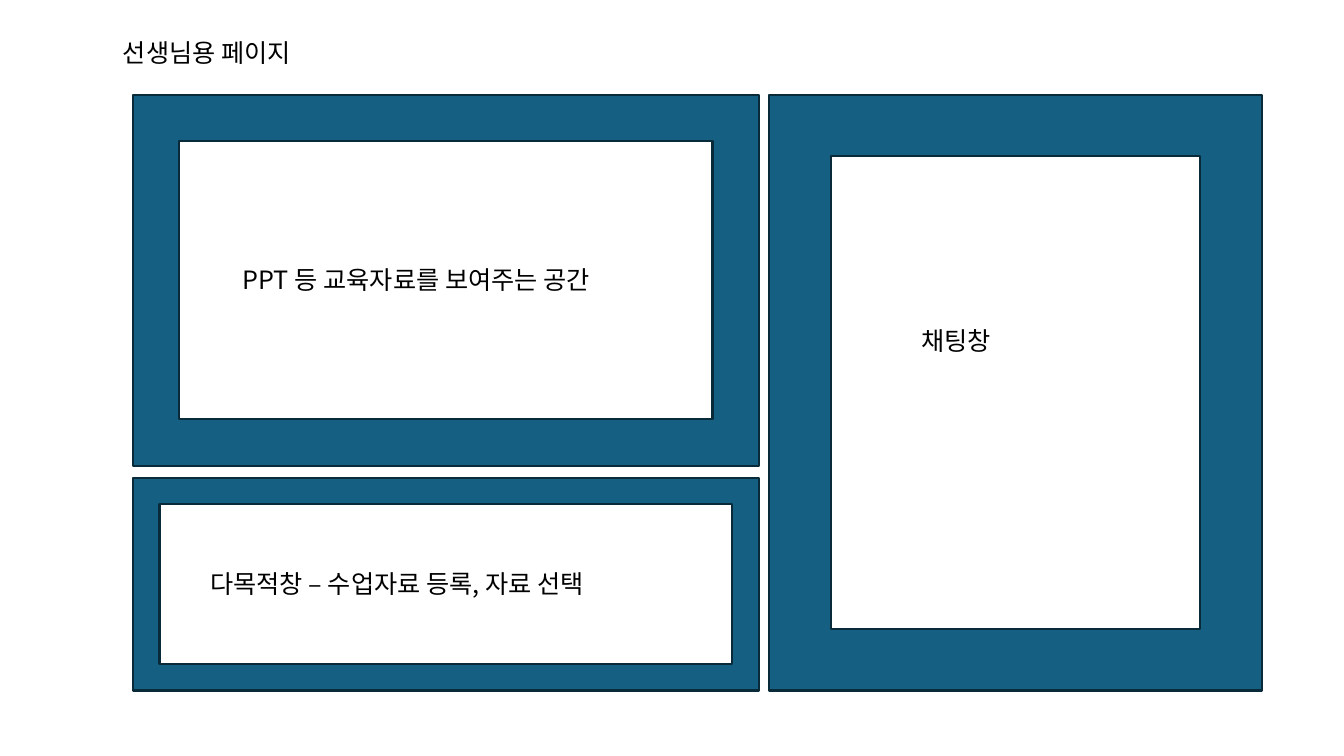
from pptx import Presentation
from pptx.dml.color import RGBColor
from pptx.enum.shapes import MSO_SHAPE
from pptx.enum.text import MSO_ANCHOR, MSO_AUTO_SIZE, PP_ALIGN
from pptx.oxml.ns import qn
from pptx.util import Pt
from lxml import etree

FRAME = MSO_SHAPE.FRAME
TOP = MSO_ANCHOR.TOP
GROW = MSO_AUTO_SIZE.SHAPE_TO_FIT_TEXT
LEFT = PP_ALIGN.LEFT

FONT = "Noto Sans CJK KR"
LABEL_HEIGHT = 29
TITLE_ONLY = 5


def color(hex_code):
    return RGBColor.from_string(hex_code)


def write_label(text_frame, wording):
    text_frame.text = wording
    text_frame.word_wrap = True
    text_frame.auto_size = GROW
    text_frame.vertical_anchor = TOP
    paragraph = text_frame.paragraphs[0]
    paragraph.alignment = LEFT
    for run in paragraph.runs:
        run.font.size = Pt(18)
        run.font.name = FONT
        run.font.color.rgb = color("000000")
        east_asian = etree.SubElement(run.font._element, qn("a:ea"))
        east_asian.set("typeface", FONT)


def add_heading(slide, box, wording):
    heading = slide.shapes.title
    heading.left, heading.top, heading.width, heading.height = map(Pt, box)
    write_label(heading.text_frame, wording)


def add_panel(slide, box, wording, label_offset, label_width):
    left, top, width, height = box
    panel = slide.shapes.add_shape(FRAME, Pt(left), Pt(top), Pt(width), Pt(height))
    panel.shadow.inherit = False
    panel.fill.solid()
    panel.fill.fore_color.rgb = color("156082")
    panel.line.color.rgb = color("092A39")
    panel.line.width = Pt(1.5)

    offset_x, offset_y = label_offset
    label = slide.shapes.add_textbox(
        Pt(left + offset_x), Pt(top + offset_y), Pt(label_width), Pt(LABEL_HEIGHT)
    )
    write_label(label.text_frame, wording)


def add_teacher_page(slide, box):
    left, top, width, height = box
    column_gap, row_gap = 7.2, 8.6
    main_width, material_height = 447.1, 265
    chat_left = left + main_width + column_gap
    tools_top = top + material_height + row_gap
    chat_width = width - main_width - column_gap
    tools_height = height - material_height - row_gap

    add_panel(slide, (left, top, main_width, material_height),
              "PPT 등 교육자료를 보여주는 공간", (71.3, 117.4), 288.7)
    add_panel(slide, (chat_left, top, chat_width, height),
              "채팅창", (101.5, 161.3), 172)
    add_panel(slide, (left, tools_top, main_width, tools_height),
              "다목적창 – 수업자료 등록, 자료 선택", (48.2, 61.2), 350.6)


def main():
    presentation = Presentation()
    presentation.slide_width = Pt(960)
    presentation.slide_height = Pt(540)
    slide = presentation.slides.add_slide(presentation.slide_layouts[TITLE_ONLY])
    add_heading(slide, (80.6, 23, 172, LABEL_HEIGHT), "선생님용 페이지")
    add_teacher_page(slide, (95, 67.7, 806.4, 425.5))
    presentation.save("out.pptx")


if __name__ == "__main__":
    main()
